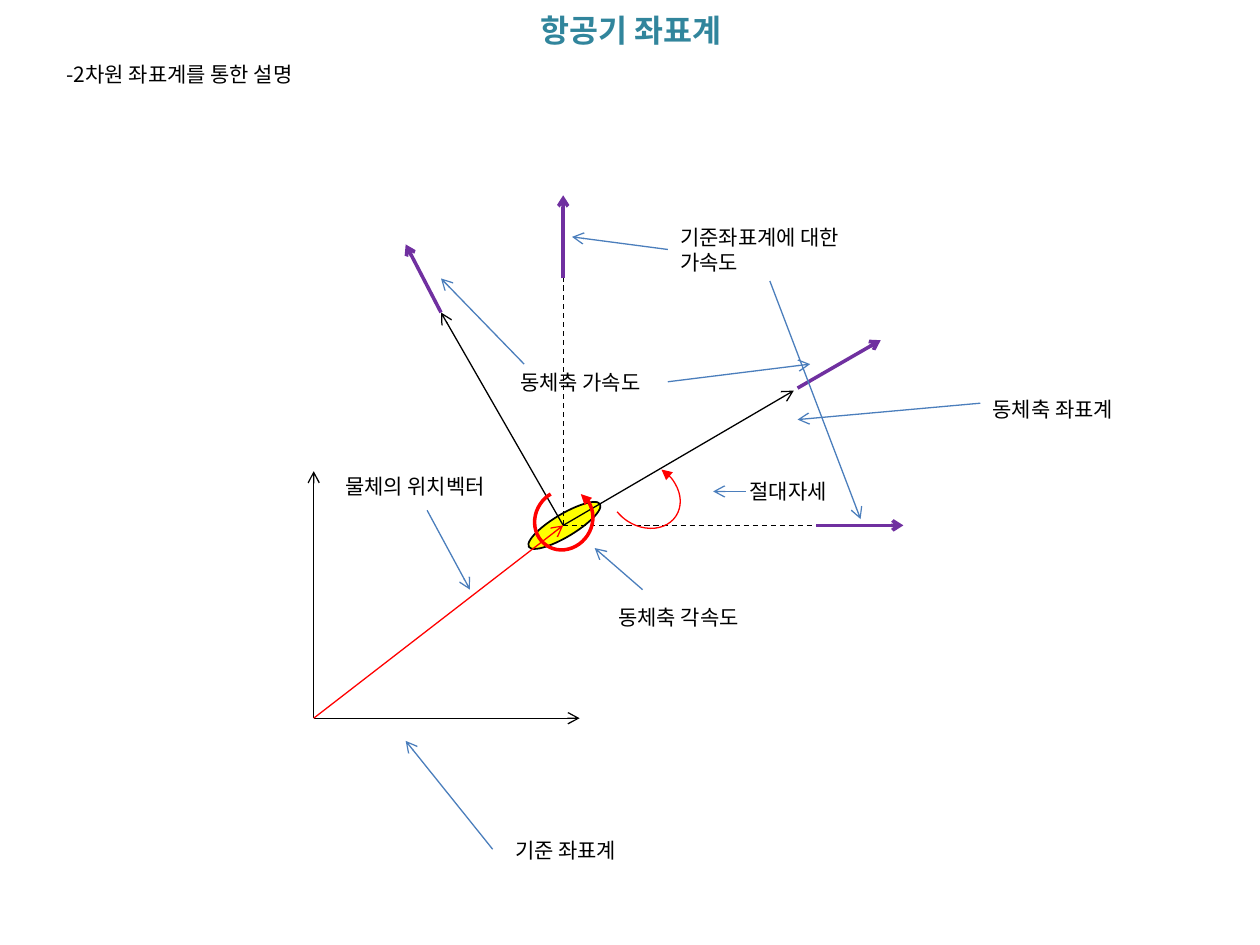
from pptx import Presentation
from pptx.dml.color import RGBColor
from pptx.enum.dml import MSO_LINE
from pptx.enum.shapes import MSO_CONNECTOR, MSO_SHAPE
from pptx.enum.text import MSO_AUTO_SIZE, PP_ALIGN
from pptx.oxml.ns import qn
from pptx.util import Inches, Pt
from lxml.etree import SubElement

FONT = "Noto Sans CJK KR"
COLORS = {
    "title": "31859C",
    "text": "000000",
    "axis": "000000",
    "body": "FFFF00",
    "rotation": "FF0000",
    "acceleration": "7030A0",
    "pointer": "4B7EBC",
}
REFERENCE_ORIGIN = (2.49, 5.7)
BODY_ORIGIN = (4.47, 4.17)
BODY_X_TIP = (6.3, 3.1)
BODY_Y_TIP = (3.5, 2.48)
LEVEL_X_TIP = (6.48, 4.17)
LEVEL_Y_TIP = (4.47, 2.21)

AXES = [
    (REFERENCE_ORIGIN, (4.6, 5.7)),
    (REFERENCE_ORIGIN, (2.49, 3.74)),
    (BODY_ORIGIN, BODY_X_TIP),
    (BODY_ORIGIN, BODY_Y_TIP),
]
LEVEL_AXES = [(BODY_ORIGIN, LEVEL_X_TIP), (BODY_ORIGIN, LEVEL_Y_TIP)]
ACCELERATIONS = [
    ((6.33, 3.08), (6.99, 2.7)),
    (BODY_Y_TIP, (3.22, 1.94)),
    (LEVEL_X_TIP, (7.17, 4.17)),
    (LEVEL_Y_TIP, (4.47, 1.55)),
]
POINTERS = [
    ((7.78, 3.2), (6.33, 3.33)),
    ((3.91, 6.74), (3.22, 5.88)),
    ((5.92, 3.9), (5.66, 3.9)),
    ((5.1, 4.68), (4.72, 4.35)),
    ((4.16, 2.89), (3.5, 2.21)),
    ((5.3, 3.03), (6.43, 2.89)),
    ((3.39, 4.05), (3.73, 4.68)),
    ((5.3, 1.98), (4.54, 1.88)),
    ((6.11, 2.23), (6.83, 4.12)),
]
LABELS = [
    ("-2차원 좌표계를 통한 설명", 0.43, 0.44, 2.22, 0.3),
    ("동체축 좌표계", 7.78, 3.1, 1.27, 0.3),
    ("기준 좌표계", 3.99, 6.6, 1.1, 0.3),
    ("동체축 각속도", 4.81, 4.75, 1.27, 0.3),
    ("절대자세", 5.85, 3.75, 0.88, 0.3),
    ("동체축 가속도", 4.03, 2.88, 1.27, 0.3),
    ("물체의 위치벡터", 2.64, 3.71, 1.44, 0.3),
    ("기준좌표계에 대한\n가속도", 5.3, 1.73, 1.61, 0.5),
]


def style_line(line, color, width, head=None):
    line.color.rgb = RGBColor.from_string(COLORS[color])
    line.width = Pt(width)
    if head:
        SubElement(line._get_or_add_ln(), qn("a:tailEnd"), type=head)


def add_line(slide, start, end, color="axis", width=0.75, dashed=False):
    """Draw an arrow, or a plain dashed line, between two points in inches."""
    ends = [Inches(value) for value in (*start, *end)]
    connector = slide.shapes.add_connector(MSO_CONNECTOR.STRAIGHT, *ends)
    if dashed:
        connector.line.dash_style = MSO_LINE.DASH
    style_line(connector.line, color, width, None if dashed else "arrow")
    SubElement(connector._element.spPr, qn("a:effectLst"))


def add_body(slide):
    frame = [Inches(value) for value in (4.15, 4.08, 0.66, 0.18)]
    body = slide.shapes.add_shape(MSO_SHAPE.OVAL, *frame)
    body.shadow.inherit = False
    body.rotation = 329
    body.fill.solid()
    body.fill.fore_color.rgb = RGBColor.from_string(COLORS["body"])
    style_line(body.line, "axis", 1)


def add_rotation_arc(slide, *frame, start_angle, width):
    """Draw a mirrored arc arrow; the start angle is in degrees."""
    arc = slide.shapes.add_shape(MSO_SHAPE.ARC, *[Inches(v) for v in frame])
    arc.shadow.inherit = False
    arc.rotation = 123.5
    arc._element.spPr.xfrm.set("flipH", "1")
    # An angle unit is 1/60000 degree; adjustments are scaled by 1/100000.
    arc.adjustments[0] = start_angle * 0.6
    arc.adjustments[1] = 0
    arc.fill.background()
    style_line(arc.line, "rotation", width, "triangle")


def add_text(slide, text, *frame, size=12, color="text", bold=False,
             align=PP_ALIGN.LEFT):
    box = slide.shapes.add_textbox(*[Inches(value) for value in frame])
    text_frame = box.text_frame
    text_frame.word_wrap = False
    text_frame.auto_size = MSO_AUTO_SIZE.SHAPE_TO_FIT_TEXT
    text_frame.text = text
    for paragraph in text_frame.paragraphs:
        paragraph.alignment = align
        for run in paragraph.runs:
            run.font.name = FONT
            run.font.size = Pt(size)
            run.font.bold = bold
            run.font.color.rgb = RGBColor.from_string(COLORS[color])
            SubElement(run._r.get_or_add_rPr(), qn("a:ea"), typeface=FONT)


def main():
    presentation = Presentation()
    presentation.slide_width = Inches(10)
    presentation.slide_height = Inches(7.5)
    slide = presentation.slides.add_slide(presentation.slide_layouts[6])

    add_body(slide)
    for start, end in AXES:
        add_line(slide, start, end)
    add_line(slide, REFERENCE_ORIGIN, BODY_ORIGIN, color="rotation")
    for start, end in LEVEL_AXES:
        add_line(slide, start, end, dashed=True)
    add_rotation_arc(slide, 4.87, 3.63, 0.49, 0.6, start_angle=154.75, width=0.75)
    add_rotation_arc(slide, 4.23, 3.9, 0.49, 0.45, start_angle=60.3, width=2)
    for start, end in ACCELERATIONS:
        add_line(slide, start, end, color="acceleration", width=2)
    for start, end in POINTERS:
        add_line(slide, start, end, color="pointer")

    add_text(slide, "항공기 좌표계", 4.1, 0.04, 1.81, 0.4, size=18,
             color="title", bold=True, align=PP_ALIGN.CENTER)
    for text, *frame in LABELS:
        add_text(slide, text, *frame)

    presentation.save("out.pptx")


if __name__ == "__main__":
    main()
